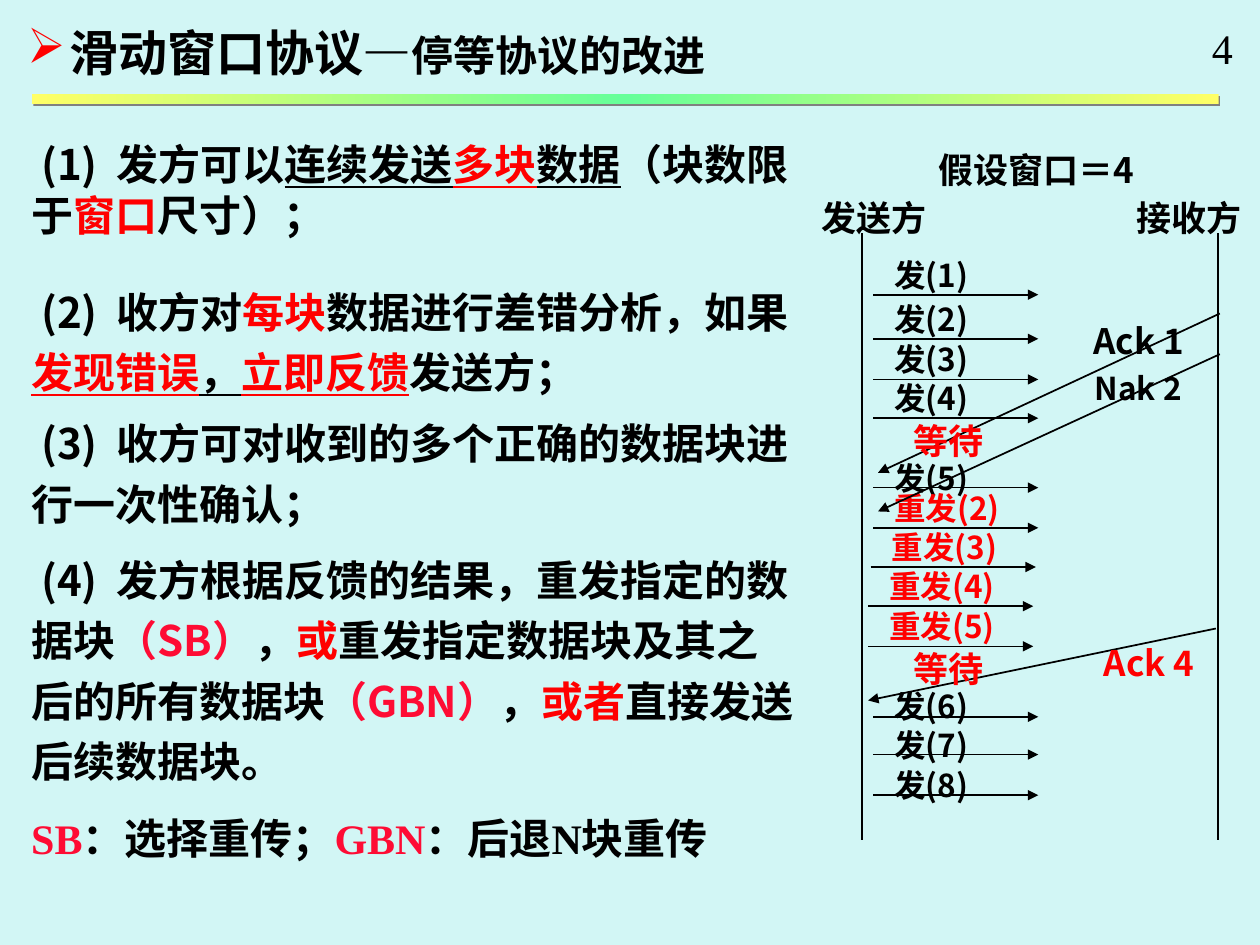
from lxml import etree
from pptx import Presentation
from pptx import util as u
from pptx.dml import color
from pptx.enum import shapes, text
from pptx.oxml import ns

SANS, SERIF = "Noto Sans CJK SC", "Times New Roman"
BLACK, RED, CRIMSON = "000000", "FF0000", "FE0C34"
UNDER = {"underline": True}
HOT = {"color": RED}
TERM = {"color": CRIMSON}
ROMAN = {"name": SERIF}
GAP = {"spacing": 5.4}


def rgb(value):
    return color.RGBColor.from_string(value)


def child(parent, tag, **attributes):
    return etree.SubElement(parent, ns.qn(tag), attributes)


class Sheet:
    """Holds the text style and the current slide, and adds elements to it."""

    def __init__(self, deck, background):
        self.base = {"name": SANS, "size": 18, "bold": True, "color": BLACK}
        self.slide = deck.slides.add_slide(deck.slide_layouts[6])
        self.slide.background.fill.solid()
        self.slide.background.fill.fore_color.rgb = rgb(background)

    def run(self, paragraph, words, style):
        run = paragraph.add_run()
        run.text = words
        values = {**self.base, **style}
        run.font.color.rgb = rgb(values.pop("color"))
        values["size"] = u.Pt(values["size"])
        spacing = values.pop("spacing", 0)
        for key, value in values.items():
            setattr(run.font, key, value)
        if spacing:
            run.font._element.set("spc", str(round(spacing * 100)))
        child(run.font._element, "a:ea", typeface=SANS)

    def text(self, place, paragraphs, wrap=True, canvas=None, **style):
        canvas = canvas or self.slide.shapes
        frame = canvas.add_textbox(*map(u.Cm, place)).text_frame
        frame.word_wrap = wrap
        frame.auto_size = text.MSO_AUTO_SIZE.SHAPE_TO_FIT_TEXT
        for index, (layout, runs) in enumerate(paragraphs):
            paragraph = frame.paragraphs[0] if index == 0 else frame.add_paragraph()
            self.indent(paragraph, layout)
            for key in ("line_spacing", "space_before", "space_after"):
                if key in layout:
                    setattr(paragraph, key, layout[key])
            for words, extra in runs:
                self.run(paragraph, words, {**style, **extra})

    def indent(self, paragraph, layout):
        properties = paragraph._p.get_or_add_pPr()
        for key in ("marL", "indent"):
            if key in layout:
                properties.set(key, str(u.Cm(layout[key])))
        if "bullet" in layout:
            child(child(properties, "a:buClr"), "a:srgbClr", val=RED)
            child(properties, "a:buChar", char=layout["bullet"])

    def label(self, place, words, canvas=None, wrap=False, **style):
        self.text(place, [({}, [(words, {})])], wrap, canvas, **style)

    def line(self, start, end, arrow=False, canvas=None):
        canvas = canvas or self.slide.shapes
        line = canvas.add_connector(
            shapes.MSO_CONNECTOR.STRAIGHT, *map(u.Cm, (*start, *end)))
        line.line.color.rgb = rgb(BLACK)
        line.line.width = u.Pt(1)
        if arrow:
            child(line.line._get_or_add_ln(), "a:tailEnd", type="triangle")
        child(line._element.spPr, "a:effectLst")

    def send(self, words, left, top, lift, **style):
        group = self.slide.shapes.add_group_shape().shapes
        self.line((left, top), (left + 3.33, top), True, group)
        width = 3.07 if words.startswith("重") else 2.44
        self.label((left + 0.18, top - lift, width, 1.02), words, group, **style)

    def bar(self, place, stops):
        bar = self.slide.shapes.add_shape(
            shapes.MSO_SHAPE.RECTANGLE, *map(u.Cm, place))
        bar.line.fill.background()
        bar.fill.gradient()
        bar.fill.gradient_angle = 0
        ramp = bar._element.spPr.find(ns.qn("a:gradFill")).find(ns.qn("a:gsLst"))
        for old in list(ramp):
            ramp.remove(old)
        for percent, value in stops:
            stop = child(ramp, "a:gs", pos=str(percent * 1000))
            child(stop, "a:srgbClr", val=value)
        bar.shadow.inherit = False
        effects = bar._element.spPr.find(ns.qn("a:effectLst"))
        shade = child(effects, "a:outerShdw", dist=str(u.Pt(1.4)),
                      dir="2700000", algn="ctr", rotWithShape="0")
        child(shade, "a:srgbClr", val="808080")


def item(before, **more):
    return {"line_spacing": 1.2, "space_before": u.Pt(before), **more}


def number(value):
    return [(f"({value})", {}), (" ", GAP)]


def main():
    deck = Presentation()
    deck.slide_width, deck.slide_height = u.Cm(25.4), u.Cm(19.05)
    sheet = Sheet(deck, "D2F6F5")

    for actor, label_left, lifeline in (("发送方", 16.31, 17.37), ("接收方", 22.66, 24.56)):
        sheet.label((label_left, 3.84, 3.18, 1.09), actor, wrap=True, size=20)
        sheet.line((lifeline, 4.7), (lifeline, 16.94))

    for words, left, top, lift in (
            ("发(1)", 17.6, 5.94, 0.91), ("发(2)", 17.6, 6.83, 0.91),
            ("发(3)", 17.6, 7.65, 0.91), ("发(4)", 17.6, 8.43, 0.91),
            ("发(5)", 17.6, 9.83, 0.71), ("重发(2)", 17.6, 10.64, 0.91),
            ("重发(3)", 17.55, 11.43, 0.91), ("重发(4)", 17.5, 12.22, 0.91),
            ("重发(5)", 17.5, 13.03, 0.91), ("发(6)", 17.6, 14.45, 0.73),
            ("发(7)", 17.6, 15.21, 0.69), ("发(8)", 17.6, 16.03, 0.71)):
        sheet.send(words, left, top, lift, color=RED if words[0] == "重" else BLACK)

    for start, end in (((24.59, 6.32), (17.7, 9.53)),
                       ((24.59, 7.14), (17.7, 10.31)),
                       ((24.51, 12.67), (17.5, 14.12))):
        sheet.line(start, end, arrow=True)
    sheet.label((21.79, 6.32, 2.64, 1.09), "Ack 1", size=20)
    sheet.label((21.82, 7.32, 2.41, 1.02), "Nak 2")
    sheet.label((22, 12.8, 2.64, 1.09), "Ack 4", size=20, color=RED)
    sheet.label((18.67, 2.87, 4.9, 1.09), "假设窗口＝4", wrap=True, size=20)
    for wait_top in (8.33, 12.93):
        sheet.label((18.16, wait_top, 1.93, 1.09), "等待", size=20, color=RED)

    sheet.bar((0.64, 1.9, 23.93, 0.2),
              ((0, "FFFF66"), (50, "66FF99"), (100, "FFFF66")))
    sheet.label((24.18, 0.33, 0.91, 1.27), "4", size=24, name=SERIF, bold=False)

    numbered = {"indent": 0.2}
    rules = [
        ({"space_after": u.Pt(15), **numbered}, [
            *number(1), ("发方可以", {}), ("连续发送", UNDER),
            ("多块", {**HOT, **UNDER}), ("数据", UNDER), ("（块数限于", {}),
            ("窗口", HOT), ("尺寸）；", {})]),
        (item(6, **numbered), [
            *number(2), ("收方对", {}), ("每块", HOT), ("数据进行差错分析，如果", {}),
            ("发现错误", {**HOT, **UNDER}), ("，", UNDER),
            ("立即反馈", {**HOT, **UNDER}), ("发送方；", {})]),
        (item(6, **numbered), [
            *number(3), ("收方可对收到的多个正确的数据块进行一次性确认；", {})]),
        (item(9, **numbered), [
            *number(4), ("发方根据反馈的结果，重发指定的数据块", {}), ("（SB）", TERM),
            ("，", {}), ("或", HOT), ("重发指定数据块及其之后的所有数据块", {}),
            ("（GBN）", TERM), ("，", {}), ("或者", HOT), ("直接发送后续数据块。", {})]),
        (item(9), [
            ("SB", {**TERM, **ROMAN}), ("：选择重传；", ROMAN),
            ("GBN", {**TERM, **ROMAN}), ("：后退N块重传", ROMAN)])]
    sheet.text((0.38, 2.67, 15.93, 14.86), rules, size=24)

    heading = {"marL": 0.85, "indent": -0.85, "bullet": "➢", "space_after": u.Pt(15)}
    sheet.text((0.3, 0.33, 14.4, 1.45), [
        (heading, [("滑动窗口协议—", {"size": 28}), ("停等协议的改进", {"size": 24})])])
    deck.save("out.pptx")


if __name__ == "__main__":
    main()
